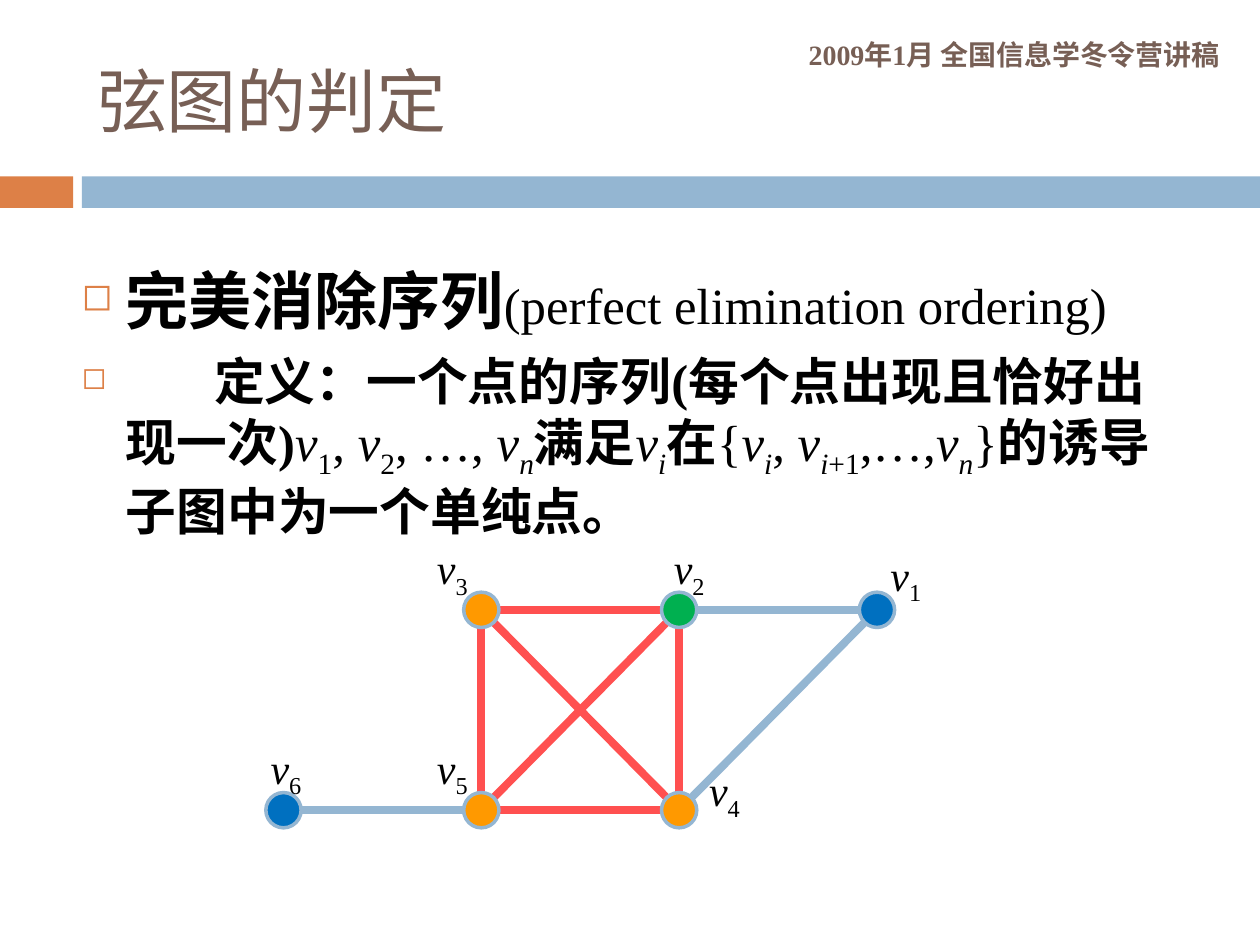
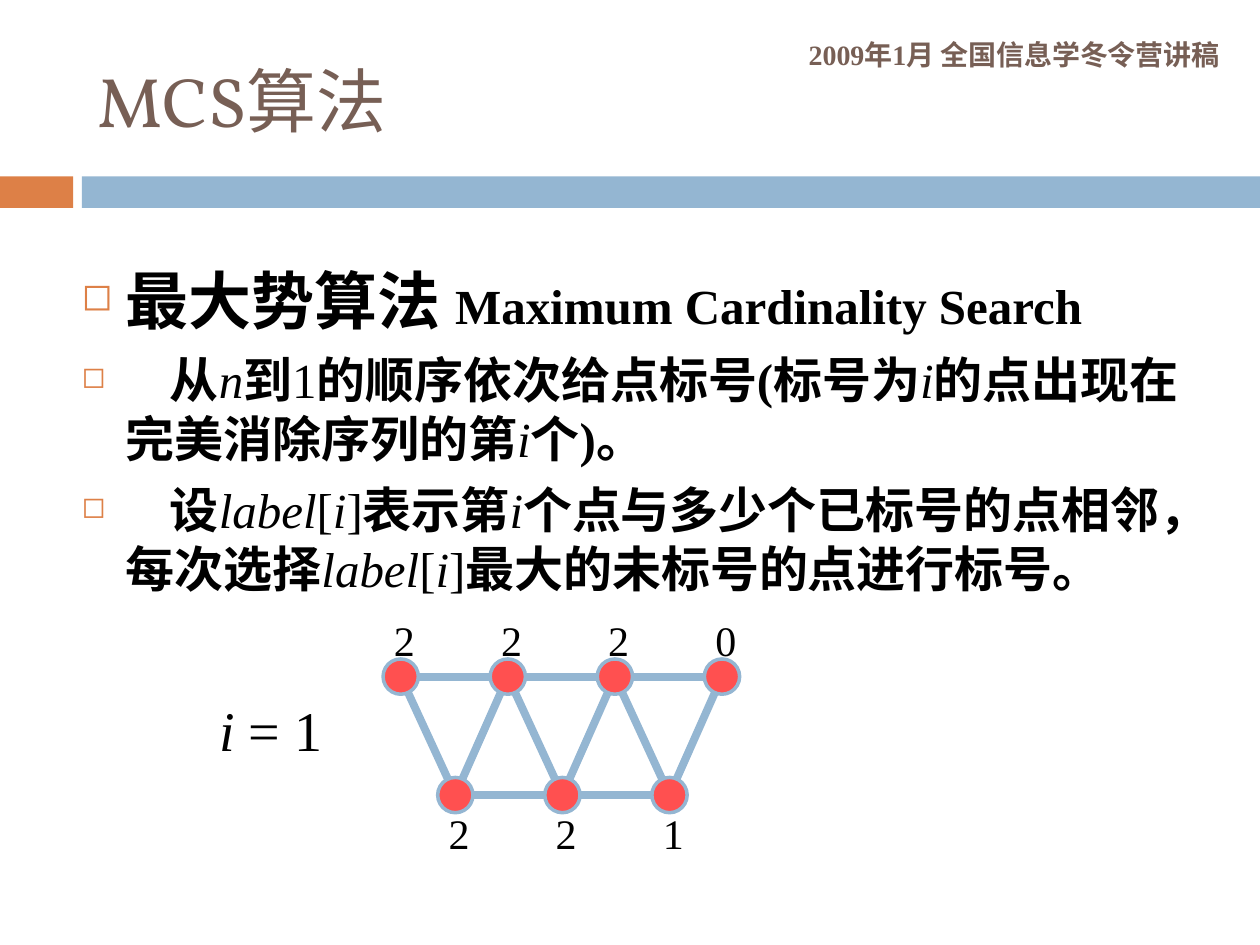
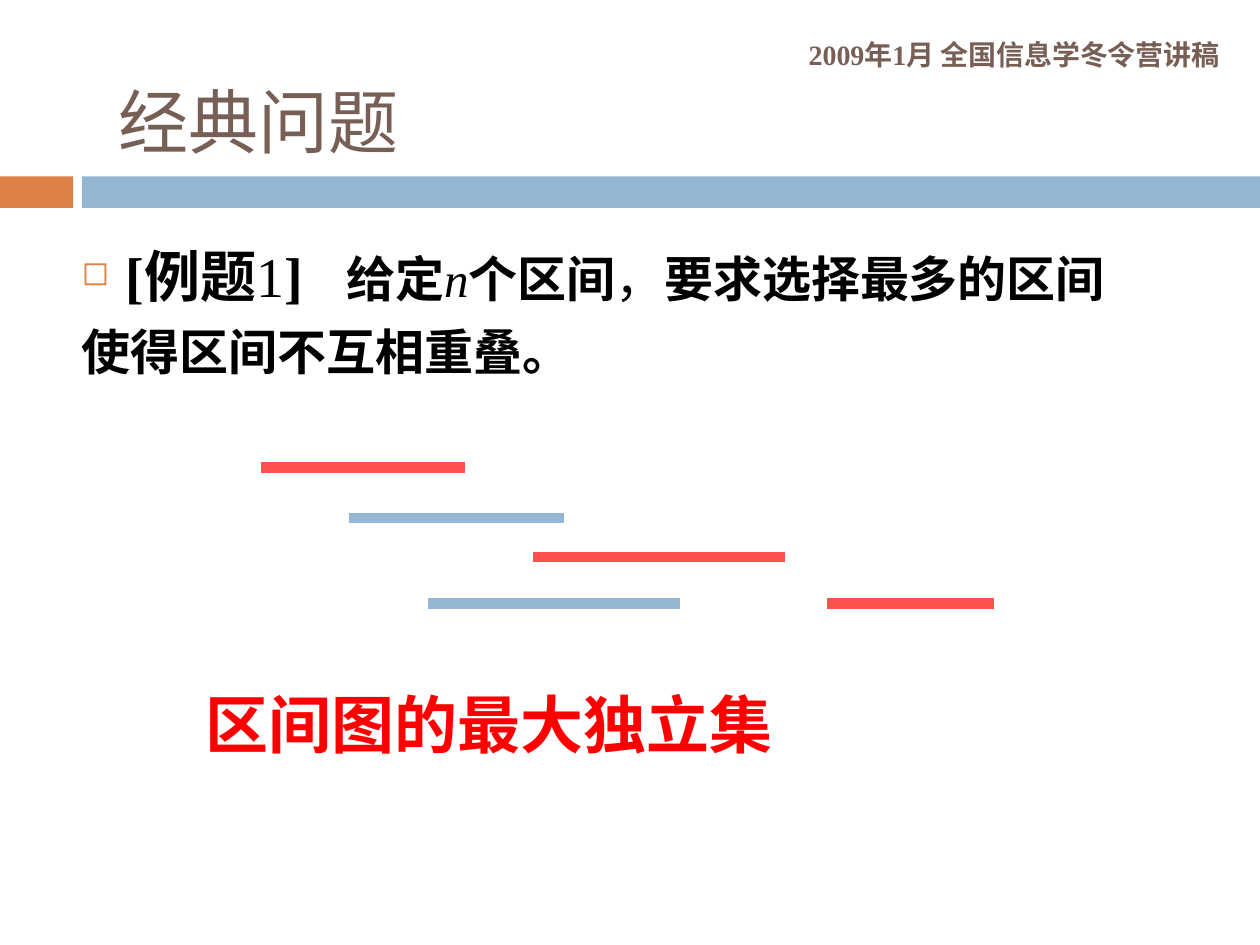
import math

from lxml import etree
from pptx import Presentation, util as u
from pptx.dml import color
from pptx.enum import shapes, text
from pptx.oxml import ns

COLS = 100
WIDTH, HEIGHT = u.Inches(10), u.Inches(7.5)
COLORS = {
    "brown": "775F55", "orange": "DD8047", "blue": "94B6D2", "black": "000000",
    "red": "FF0000", "coral": "FF5050", "navy": "0070C0", "green": "00B050",
    "amber": "FF9900",
}
SERIF, SANS, DISPLAY = "Times New Roman", "Noto Sans CJK SC", "Vollkorn"
HEADER = "2009年1月 全国信息学冬令营讲稿"
TITLE_BOX = (6.7, 2.5, 89.2, 10.8)
INDENT = 3.5
NODE = 2.8


def cell(n):
    return round(n * WIDTH / COLS)


def rgb(name):
    return color.RGBColor.from_string(COLORS[name])


def sub(parent, tag, **attrs):
    return etree.SubElement(parent, ns.qn(tag), attrs)


def style(r, size, tint="black", font=SERIF, marks=""):
    r.font.size = u.Pt(size)
    r.font.color.rgb = rgb(tint)
    r.font.name = font
    r.font.bold = "b" in marks
    r.font.italic = "i" in marks
    rPr = r._r.get_or_add_rPr()
    sub(rPr, "a:ea", typeface=SANS)
    if "_" in marks:
        rPr.set("baseline", "-25000")


def write(p, runs, size, **look):
    for words, marks in runs:
        r = p.add_run()
        r.text = words
        style(r, size, marks=marks, **look)


def text_box(s, box):
    tf = s.shapes.add_textbox(*map(cell, box)).text_frame
    tf.word_wrap = True
    return tf


def label(s, box, runs, size, align=text.PP_ALIGN.LEFT, **look):
    tf = text_box(s, box)
    p = tf.paragraphs[0]
    p.alignment = align
    write(p, runs, size, **look)
    return tf


def shape(s, kind, box, fill, line=None):
    sp = s.shapes.add_shape(kind, *map(cell, box))
    sp.shadow.inherit = False
    sp.fill.solid()
    sp.fill.fore_color.rgb = rgb(fill)
    if line:
        sp.line.color.rgb = rgb(line)
        sp.line.width = u.Pt(2)
    else:
        sp.line.fill.background()


def line(s, start, end, tint, width):
    c = s.shapes.add_connector(shapes.MSO_CONNECTOR.STRAIGHT, *map(cell, (*start, *end)))
    c.line.color.rgb = rgb(tint)
    c.line.width = u.Pt(width)
    sub(c._element.spPr, "a:effectLst")


def new_slide(prs, title, box=TITLE_BOX):
    s = prs.slides.add_slide(prs.slide_layouts[5])
    shape(s, shapes.MSO_SHAPE.RECTANGLE, (0, 14, 5.8, 2.5), "orange")
    shape(s, shapes.MSO_SHAPE.RECTANGLE, (6.5, 14, 93.5, 2.5), "blue")
    tf = label(s, (33.6, 2.3, 64.2, 4), [(HEADER, "b")], 16, text.PP_ALIGN.RIGHT, tint="brown")
    tf.vertical_anchor = text.MSO_ANCHOR.MIDDLE
    sp = s.shapes.title
    sp.left, sp.top, sp.width, sp.height = map(cell, box)
    tf = sp.text_frame
    tf.auto_size = text.MSO_AUTO_SIZE.NONE
    tf.vertical_anchor = text.MSO_ANCHOR.MIDDLE
    p = tf.paragraphs[0]
    p.alignment = text.PP_ALIGN.LEFT
    for words, font in title:
        write(p, [(words, "")], 40, tint="brown", font=font)
    return s


def add_bullet(p):
    pPr = p._p.get_or_add_pPr()
    pPr.set("marL", str(cell(INDENT)))
    pPr.set("indent", str(-cell(INDENT)))
    sub(sub(pPr, "a:buClr"), "a:srgbClr", val=COLORS["orange"])
    sub(pPr, "a:buSzPct", val="60000")
    sub(pPr, "a:buChar", char="◻")
    tabs = sub(pPr, "a:tabLst")
    for i in range(1, 9):
        sub(tabs, "a:tab", pos=str(cell(INDENT * i)), algn="l")


def body(s, box, paragraphs):
    tf = text_box(s, box)
    for i, (bullet, parts) in enumerate(paragraphs):
        p = tf.add_paragraph() if i else tf.paragraphs[0]
        p.space_before = u.Pt(7)
        if bullet:
            add_bullet(p)
        for size, runs in parts:
            write(p, runs, size)


def graph(s, box, nodes, edges):
    left, top, pitch, drop = box
    spots = {k: (left + col * pitch, top + row * drop) for k, (col, row, _) in nodes.items()}
    for a, b, tint in edges:
        (ax, ay), (bx, by) = spots[a], spots[b]
        trim = 1.1 / math.dist(spots[a], spots[b])
        dx, dy = (bx - ax) * trim, (by - ay) * trim
        line(s, (ax + dx, ay + dy), (bx - dx, by - dy), tint, 4.5)
    for k, (x, y) in spots.items():
        shape(s, shapes.MSO_SHAPE.OVAL, (x - NODE / 2, y - NODE / 2, NODE, NODE),
              nodes[k][2], "blue")
    return spots


def node_label(s, spot, offset, runs):
    width, height = 8.4, 5
    x, y = spot[0] + offset[0], spot[1] + offset[1]
    label(s, (x - width / 2, y - height / 2, width, height), runs, 24, text.PP_ALIGN.CENTER)


def chordal_slide(prs):
    s = new_slide(prs, [("弦图的判定", SANS)])
    body(s, (5.5, 20.3, 89.2, 22.7), [
        (True, [(36, [("完美消除序列", "b")]), (29, [("(perfect elimination ordering)", "")])]),
        (True, [(29, [
            ("\t\t定义：一个点的序列(每个点出现且恰好出现一次)", "b"),
            ("v", "i"), ("1", "_"), (", ", ""), ("v", "i"), ("2", "_"), (", …, ", ""),
            ("v", "i"), ("n", "i_"), ("满足", "b"), ("v", "i"), ("i", "i_"), ("在", "b"),
            ("{", ""), ("v", "i"), ("i", "i_"), (", ", ""), ("v", "i"), ("i", "i_"),
            ("+1", "_"), (",…,", ""), ("v", "i"), ("n", "i_"), ("}", ""),
            ("的诱导子图中为一个单纯点。", "b"),
        ])]),
    ])
    nodes = {
        "1": (3, 0, "navy"), "2": (2, 0, "green"), "3": (1, 0, "amber"),
        "4": (2, 1, "amber"), "5": (1, 1, "amber"), "6": (0, 1, "navy"),
    }
    clique = ["54", "35", "32", "24", "25", "34"]
    edges = [(a, b, "coral") for a, b in clique]
    edges += [(a, b, "blue") for a, b in ["65", "21", "14"]]
    spots = graph(s, (22.5, 48.4, 15.7, 15.9), nodes, edges)
    offsets = {"1": (2.3, -2.8), "2": (0.8, -3.3), "3": (-2.3, -3.3),
               "4": (3.6, -1.6), "5": (-2.3, -3.4), "6": (0.2, -3.4)}
    for k, offset in offsets.items():
        node_label(s, spots[k], offset, [("v", "i"), (k, "_")])


def mcs_slide(prs):
    s = new_slide(prs, [("MCS", DISPLAY), ("算法", SANS)])
    label_i = [("label", "i"), ("[", ""), ("i", "i"), ("]", "")]
    body(s, (5.5, 20.3, 89.2, 30.5), [
        (True, [(36, [("最大势算法 ", "b")]), (28, [("Maximum Cardinality Search", "b")])]),
        (True, [(28, [
            ("\t从", "b"), ("n", "i"), ("到", "b"), ("1", ""),
            ("的顺序依次给点标号(标号为", "b"), ("i", "i"),
            ("的点出现在完美消除序列的第", "b"), ("i", "i"), ("个)。", "b"),
        ])]),
        (True, [(28, [
            ("\t设", "b"), *label_i, ("表示第", "b"), ("i", "i"),
            ("个点与多少个已标号的点相邻，每次选择", "b"), *label_i,
            ("最大的未标号的点进行标号。", "b"),
        ])]),
    ])
    rows = ["2220", "221"]
    nodes = {(row, i): (i + row * 0.51, row, "coral")
             for row, counts in enumerate(rows) for i in range(len(counts))}
    edges = [((row, i), (row, i + 1), "blue")
             for row, counts in enumerate(rows) for i in range(len(counts) - 1)]
    edges += [((0, i + side), (1, i), "blue") for i in range(len(rows[1])) for side in (0, 1)]
    spots = graph(s, (31.8, 53.7, 8.5, 9.4), nodes, edges)
    for (row, i), spot in spots.items():
        node_label(s, spot, (0.3, 3 if row else -2.9), [(rows[row][i], "")])
    label(s, (16.4, 54.7, 13.3, 6.4), [("i", "i"), (" = 1", "")], 32)


def intervals(s, box, bars):
    left, top = box
    for start, end, y, tint in bars:
        line(s, (left + start, top + y), (left + end, top + y), tint, 6)


def interval_slide(prs):
    s = new_slide(prs, [("经典问题", SANS)], (8.4, 4.2, 89.2, 10.8))
    body(s, (5.5, 18.7, 89.2, 15.6), [
        (True, [
            (32, [("[例题", "b"), ("1", ""), ("]\t", "b")]),
            (28, [("给定", "b"), ("n", "i"), ("个区间", "b"), ("，", ""),
                  ("要求选择最多的区间", "b")]),
        ]),
        (False, [(28, [("使得区间不互相重叠。", "b")])]),
    ])
    intervals(s, (20.7, 37.1), [
        (0, 16.2, 0, "coral"), (7, 24.1, 4, "blue"), (21.6, 41.6, 7.1, "coral"),
        (44.9, 58.2, 10.8, "coral"), (13.3, 33.3, 10.8, "blue"),
    ])
    label(s, (15.3, 53.9, 67.5, 7.1), [("区间图的最大独立集", "b")], 36, tint="red", font=SANS)


def main():
    prs = Presentation()
    prs.slide_width, prs.slide_height = WIDTH, HEIGHT
    chordal_slide(prs)
    mcs_slide(prs)
    interval_slide(prs)
    prs.save("out.pptx")


if __name__ == "__main__":
    main()
